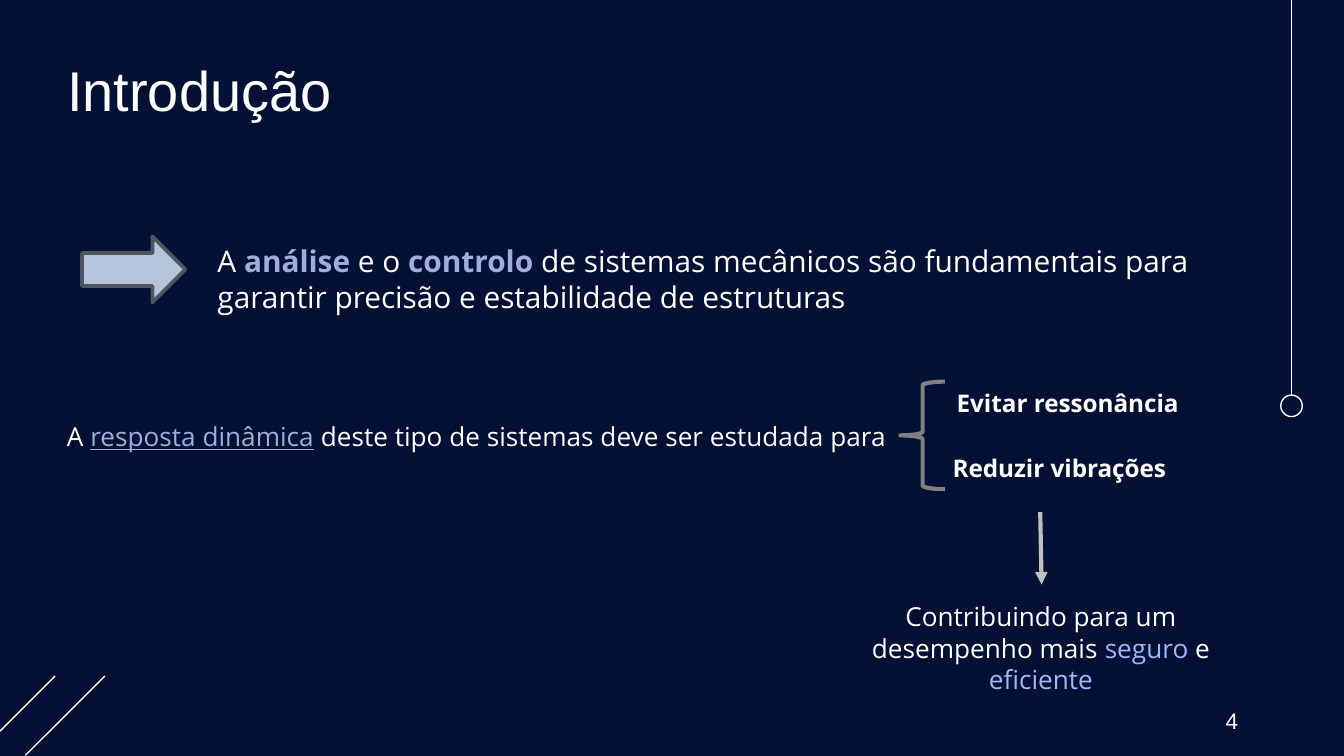
from typing import NamedTuple

from lxml import etree
from pptx import Presentation
from pptx.dml.color import RGBColor
from pptx.enum import shapes, text
from pptx.oxml.ns import qn
from pptx.util import Inches, Pt

WHITE = "FFFFFF"
ACCENT = "9DAED8"
BRIGHT = "9FB8F7"


class Run(NamedTuple):
    text: str
    color: str = WHITE
    bold: bool = False
    underline: bool = False


class Label(NamedTuple):
    box: tuple[float, float, float, float]
    size: float
    runs: list[Run]
    align: text.PP_ALIGN = text.PP_ALIGN.LEFT


class Line(NamedTuple):
    start: tuple[float, float]
    end: tuple[float, float]
    color: str = WHITE
    width: float = 0.75
    arrow: bool = False


def rgb(value: str) -> RGBColor:
    return RGBColor.from_string(value)


def add_run(p, content: str, *, size: float, font: str = "Open Sans",
            color: str = WHITE, bold: bool = False, underline: bool = False):
    r = p.add_run()
    r.text = content
    r.font.size = Pt(size)
    r.font.name = font
    r.font.bold = bold
    r.font.underline = underline
    r.font.color.rgb = rgb(color)


def draw_label(s, label: Label):
    tf = s.shapes.add_textbox(*map(Inches, label.box)).text_frame
    tf.word_wrap = True
    p = tf.paragraphs[0]
    p.alignment = label.align
    p.line_spacing = Pt(label.size * 1.2)
    for run in label.runs:
        add_run(p, run.text, size=label.size, color=run.color,
                bold=run.bold, underline=run.underline)


def draw_line(s, line: Line):
    cx = s.shapes.add_connector(shapes.MSO_CONNECTOR.STRAIGHT,
                                *map(Inches, line.start + line.end))
    cx.line.color.rgb = rgb(line.color)
    cx.line.width = Pt(line.width)
    if line.arrow:
        etree.SubElement(cx.line._get_or_add_ln(), qn("a:tailEnd"), type="triangle")
    etree.SubElement(cx._element.spPr, qn("a:effectLst"))


def draw_shape(s, kind: shapes.MSO_SHAPE, box: tuple[float, float, float, float],
               line: str, width: float, fill: str | None = None):
    sp = s.shapes.add_shape(kind, *map(Inches, box))
    sp.shadow.inherit = False
    if fill:
        sp.fill.solid()
        sp.fill.fore_color.rgb = rgb(fill)
    else:
        sp.fill.background()
    sp.line.color.rgb = rgb(line)
    sp.line.width = Pt(width)


LINES = [
    Line((9.61, 2.94), (9.61, 0)),
    Line((0, 5.44), (0.41, 5.03)),
    Line((0.19, 5.62), (0.78, 5.03)),
    Line((7.74, 3.81), (7.75, 4.35), "BFBFBF", 2.25, arrow=True),
]

LABELS = [
    Label((1.52, 1.76, 7.43, 0.64), 16, [
        Run("A "), Run("análise", ACCENT, bold=True), Run(" e o "),
        Run("controlo", ACCENT, bold=True),
        Run(" de sistemas mecânicos são fundamentais para garantir "
            "precisão e estabilidade de estruturas")]),
    Label((0.4, 3.08, 7.43, 0.34), 14, [
        Run("A "), Run("resposta dinâmica", ACCENT, underline=True),
        Run(" deste tipo de sistemas deve ser estudada para")]),
    Label((7.02, 2.84, 1.93, 0.32), 13, [Run("Evitar ressonância", bold=True)]),
    Label((6.99, 3.32, 1.93, 0.32), 13, [Run("Reduzir vibrações", bold=True)]),
    Label((6.29, 4.42, 2.91, 0.81), 14, [
        Run("Contribuindo para um desempenho mais "), Run("seguro", BRIGHT),
        Run(" e "), Run("eficiente", BRIGHT)], text.PP_ALIGN.CENTER),
]


def main():
    prs = Presentation()
    # Widescreen, 16:9
    prs.slide_width = Inches(10)
    prs.slide_height = prs.slide_width * 9 // 16
    s = prs.slides.add_slide(prs.slide_layouts[5])
    s.background.fill.solid()
    s.background.fill.fore_color.rgb = rgb("041034")

    # Title
    title = s.shapes.title
    title.left, title.top = Inches(0.4), Inches(0.31)
    title.width, title.height = Inches(8.43), Inches(0.63)
    tf = title.text_frame
    tf.auto_size = text.MSO_AUTO_SIZE.NONE
    tf.vertical_anchor = text.MSO_ANCHOR.TOP
    tf.margin_top = tf.margin_bottom = Inches(0.1)
    tf.paragraphs[0].alignment = text.PP_ALIGN.LEFT
    add_run(tf.paragraphs[0], "Introdução", size=30, font="Arial")

    # Decoration, block arrow and brace
    draw_shape(s, shapes.MSO_SHAPE.OVAL, (9.53, 2.94, 0.16, 0.16), WHITE, 0.75)
    draw_shape(s, shapes.MSO_SHAPE.RIGHT_ARROW, (0.61, 1.76, 0.77, 0.49),
               "4F5660", 2, "B4C4DA")
    draw_shape(s, shapes.MSO_SHAPE.LEFT_BRACE, (6.7, 2.84, 0.33, 0.8),
               "808080", 2.25)
    for line in LINES:
        draw_line(s, line)

    # Statements
    for label in LABELS:
        draw_label(s, label)

    # Slide number
    tf = s.shapes.add_textbox(*map(Inches, (7.06, 5.21, 2.25, 0.3))).text_frame
    tf.word_wrap = True
    tf.vertical_anchor = text.MSO_ANCHOR.MIDDLE
    tf.paragraphs[0].alignment = text.PP_ALIGN.RIGHT
    add_run(tf.paragraphs[0], "4", size=12, font="Arial")

    prs.save("out.pptx")


if __name__ == "__main__":
    main()
